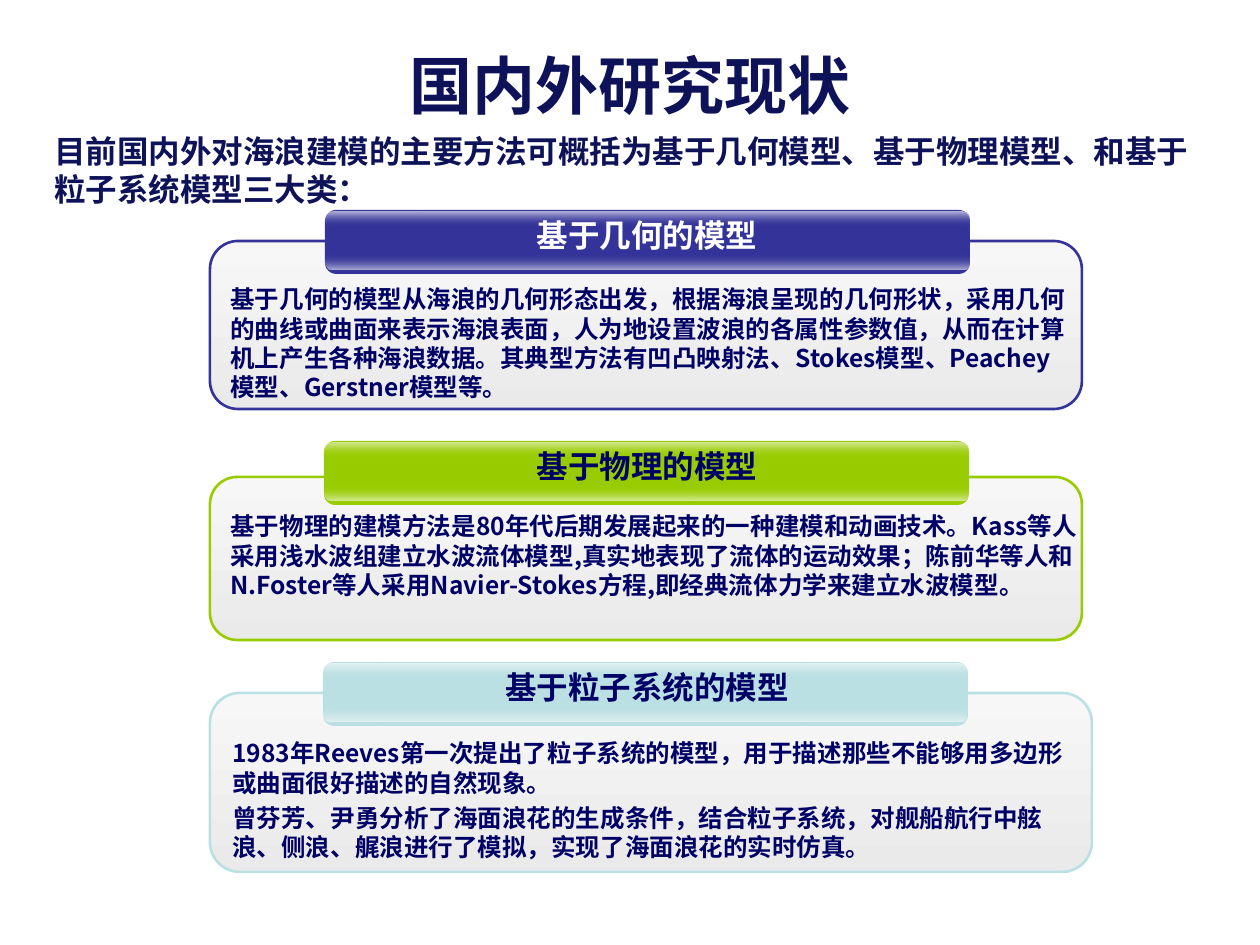
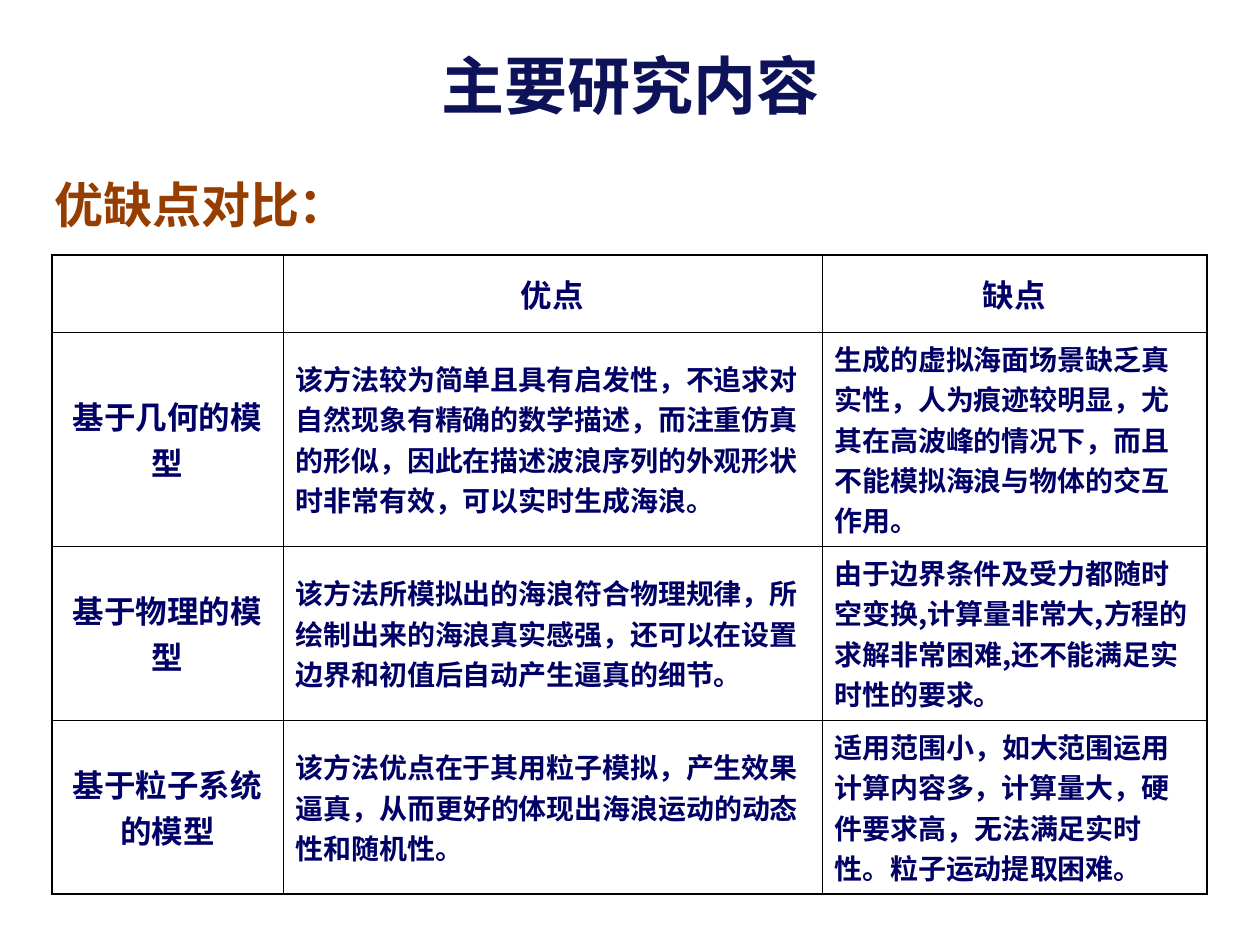
from lxml.etree import SubElement
from pptx import Presentation
from pptx.dml.color import RGBColor
from pptx.enum.shapes import MSO_SHAPE
from pptx.enum.text import MSO_ANCHOR, PP_ALIGN
from pptx.oxml.ns import qn
from pptx.util import Pt

EMU_PER_PX = 914400 / 126
NAVY, INK, WHITE, BROWN, BLACK = "0D1259", "000066", "FFFFFF", "963D00", "000000"
PANEL_TOP, PANEL_BOTTOM = "F7F7F7", "EAEAEA"
LATIN_FONT, CHINESE_FONT = "Arial", "Noto Sans CJK SC"
LABEL_CENTER = 647
LINE_HEIGHT = 1.2
OUTER_BORDER, INNER_BORDER = 1.08, 0.45

# label, colour, label colour, light edges (top, bottom), header (left, top),
# panel box, body box, paragraphs
MODELS = [
    ("基于几何的模型", "333399", WHITE, ("BDBDDD", "B7B7DA"), (325, 210),
     (210, 241, 872, 168), (218, 278, 861, 131),
     ["基于几何的模型从海浪的几何形态出发，根据海浪呈现的几何形状，采用几何的曲线或曲面来表示海浪表面，"
      "人为地设置波浪的各属性参数值，从而在计算机上产生各种海浪数据。其典型方法有凹凸映射法、"
      "Stokes模型、Peachey模型、Gerstner模型等。"]),
    ("基于物理的模型", "99CC00", INK, ("D7EA9D", "DAECA5"), (324, 441),
     (210, 477, 872, 163), (218, 505, 874, 131),
     ["基于物理的建模方法是80年代后期发展起来的一种建模和动画技术。Kass等人采用浅水波组建立水波流体模型,"
      "真实地表现了流体的运动效果；陈前华等人和N.Foster等人采用Navier-Stokes方程,"
      "即经典流体力学来建立水波模型。"]),
    ("基于粒子系统的模型", "BBE0E3", INK, ("E6F3F4", "E4F2F3"), (323, 662),
     (210, 693, 882, 179), (220, 732, 872, 137),
     ["1983年Reeves第一次提出了粒子系统的模型，用于描述那些不能够用多边形或曲面很好描述的自然现象。",
      "曾芬芳、尹勇分析了海面浪花的生成条件，结合粒子系统，对舰船航行中舷浪、侧浪、艉浪进行了模拟，"
      "实现了海面浪花的实时仿真。"]),
]

COMPARISON = [
    ("", "优点", "缺点"),
    ("基于几何的模型",
     "该方法较为简单且具有启发性，不追求对自然现象有精确的数学描述，而注重仿真的形似，"
     "因此在描述波浪序列的外观形状时非常有效，可以实时生成海浪。",
     "生成的虚拟海面场景缺乏真实性，人为痕迹较明显，尤其在高波峰的情况下，而且不能模拟海浪与物体的交互作用。"),
    ("基于物理的模型",
     "该方法所模拟出的海浪符合物理规律，所绘制出来的海浪真实感强，还可以在设置边界和初值后自动产生逼真的细节。",
     "由于边界条件及受力都随时空变换,计算量非常大,方程的求解非常困难,还不能满足实时性的要求。"),
    ("基于粒子系统的模型",
     "该方法优点在于其用粒子模拟，产生效果逼真，从而更好的体现出海浪运动的动态性和随机性。",
     "适用范围小，如大范围运用计算内容多，计算量大，硬件要求高，无法满足实时性。粒子运动提取困难。"),
]
COLUMN_WIDTHS = (231, 539, 385)
ROW_HEIGHTS = (77, 214, 174, 174)


def px(*lengths):
    return [round(length * EMU_PER_PX) for length in lengths]


def rgb(color):
    return RGBColor.from_string(color)


def format_paragraph(paragraph, size, color, font=CHINESE_FONT, align=PP_ALIGN.LEFT):
    paragraph.alignment = align
    paragraph._p.get_or_add_pPr().set("hangingPunct", "0")
    for run in paragraph.runs:
        run.font.name = font
        run.font.size = Pt(size)
        run.font.bold = True
        run.font.color.rgb = rgb(color)
        SubElement(run.font._element, qn("a:ea"), typeface=CHINESE_FONT)


def add_title(slide, text):
    title = slide.shapes.title
    title.left, title.top, title.width, title.height = px(105, 11, 1050, 147)
    title.text_frame.text = text
    title.text_frame.vertical_anchor = MSO_ANCHOR.MIDDLE
    format_paragraph(title.text_frame.paragraphs[0], 36, NAVY, LATIN_FONT, PP_ALIGN.CENTER)


def add_text(slide, box, paragraphs, size, color, font=LATIN_FONT,
             align=PP_ALIGN.LEFT, wrap=True):
    text_frame = slide.shapes.add_textbox(*px(*box)).text_frame
    text_frame.word_wrap = wrap
    text_frame.text = "\n".join(paragraphs)
    for index, paragraph in enumerate(text_frame.paragraphs):
        paragraph.line_spacing = Pt(size * LINE_HEIGHT)
        if index:
            paragraph.space_before = Pt(3.5)
        format_paragraph(paragraph, size, color, font, align)


def add_round_box(shapes, box, radius):
    shape = shapes.add_shape(MSO_SHAPE.ROUNDED_RECTANGLE, *px(*box))
    shape.adjustments[0] = radius
    shape.shadow.inherit = False
    shape.line.fill.background()
    return shape


def fill_downward(shape, top, bottom, clear=None):
    """Grade from top to bottom; the stop with the index clear is transparent."""
    shape.fill.gradient()
    shape.fill.gradient_angle = 270
    for stop, color in zip(shape.fill.gradient_stops, (top, bottom)):
        stop.color.rgb = rgb(color)
    if clear is not None:
        stop_colors = list(shape._element.spPr.iter(qn("a:srgbClr")))
        SubElement(stop_colors[clear], qn("a:alpha"), val="0")


def add_panel(slide, box, color):
    panel = add_round_box(slide.shapes, box, 0.167)
    fill_downward(panel, PANEL_TOP, PANEL_BOTTOM)
    panel.line.color.rgb = rgb(color)
    panel.line.width = Pt(1.5)


def add_glossy_header(slide, left, top, color, light_edges):
    shapes = slide.shapes.add_group_shape().shapes
    bar = add_round_box(shapes, (left, top, 645, 64), 0.175)
    bar.fill.solid()
    bar.fill.fore_color.rgb = rgb(color)
    light_top, light_bottom = light_edges
    lower = add_round_box(shapes, (left + 1, top + 45, 643, 15), 0.5)
    fill_downward(lower, color, light_bottom, clear=0)
    upper = add_round_box(shapes, (left + 1, top + 2, 643, 15), 0.5)
    fill_downward(upper, light_top, color, clear=1)


def add_model(slide, label, color, label_color, light_edges, header, panel, body, paragraphs):
    add_panel(slide, panel, color)
    add_glossy_header(slide, *header, color, light_edges)
    label_width = round(len(label) * 31.5 + 30)
    label_box = (LABEL_CENTER - label_width // 2, header[1], label_width, 50)
    add_text(slide, label_box, [label], 18, label_color, align=PP_ALIGN.CENTER, wrap=False)
    add_text(slide, body, paragraphs, 14, INK, CHINESE_FONT)


def set_borders(cell, widths):
    """Draw the cell's left, right, top and bottom borders, widths in points."""
    properties = cell._tc.get_or_add_tcPr()
    for index, (side, width) in enumerate(zip("LRTB", widths)):
        line = SubElement(properties, qn(f"a:ln{side}"), w=str(Pt(width)))
        fill = SubElement(line, qn("a:solidFill"))
        SubElement(fill, qn("a:srgbClr"), val=BLACK)
        properties.insert(index, line)


def add_comparison_table(slide, left, top):
    row_count, column_count = len(ROW_HEIGHTS), len(COLUMN_WIDTHS)
    box = px(left, top, sum(COLUMN_WIDTHS), sum(ROW_HEIGHTS))
    table = slide.shapes.add_table(row_count, column_count, *box).table
    table.first_row = table.horz_banding = False
    for column, width in zip(table.columns, px(*COLUMN_WIDTHS)):
        column.width = width
    for row, height in zip(table.rows, px(*ROW_HEIGHTS)):
        row.height = height
    for r, texts in enumerate(COMPARISON):
        for c, text in enumerate(texts):
            cell = table.cell(r, c)
            cell.text = text
            cell.vertical_anchor = MSO_ANCHOR.MIDDLE
            cell.fill.background()
            is_heading = r == 0 or c == 0
            format_paragraph(cell.text_frame.paragraphs[0], 18 if is_heading else 16, INK,
                             align=PP_ALIGN.CENTER if is_heading else PP_ALIGN.LEFT)
            on_edge = (c == 0, c == column_count - 1, r == 0, r == row_count - 1)
            set_borders(cell, [OUTER_BORDER if edge else INNER_BORDER for edge in on_edge])


def add_slide(presentation, title):
    slide = presentation.slides.add_slide(presentation.slide_layouts[5])
    add_title(slide, title)
    return slide


def main():
    presentation = Presentation()
    presentation.slide_width, presentation.slide_height = px(1260, 945)

    status = add_slide(presentation, "国内外研究现状")
    for model in MODELS:
        add_model(status, *model)
    add_text(status, (42, 126, 1166, 88),
             ["目前国内外对海浪建模的主要方法可概括为基于几何模型、基于物理模型、和基于粒子系统模型三大类："],
             18, NAVY)

    content = add_slide(presentation, "主要研究内容")
    add_text(content, (42, 168, 1187, 80), ["优缺点对比："], 28, BROWN)
    add_comparison_table(content, 52, 255)

    presentation.save("out.pptx")


if __name__ == "__main__":
    main()
